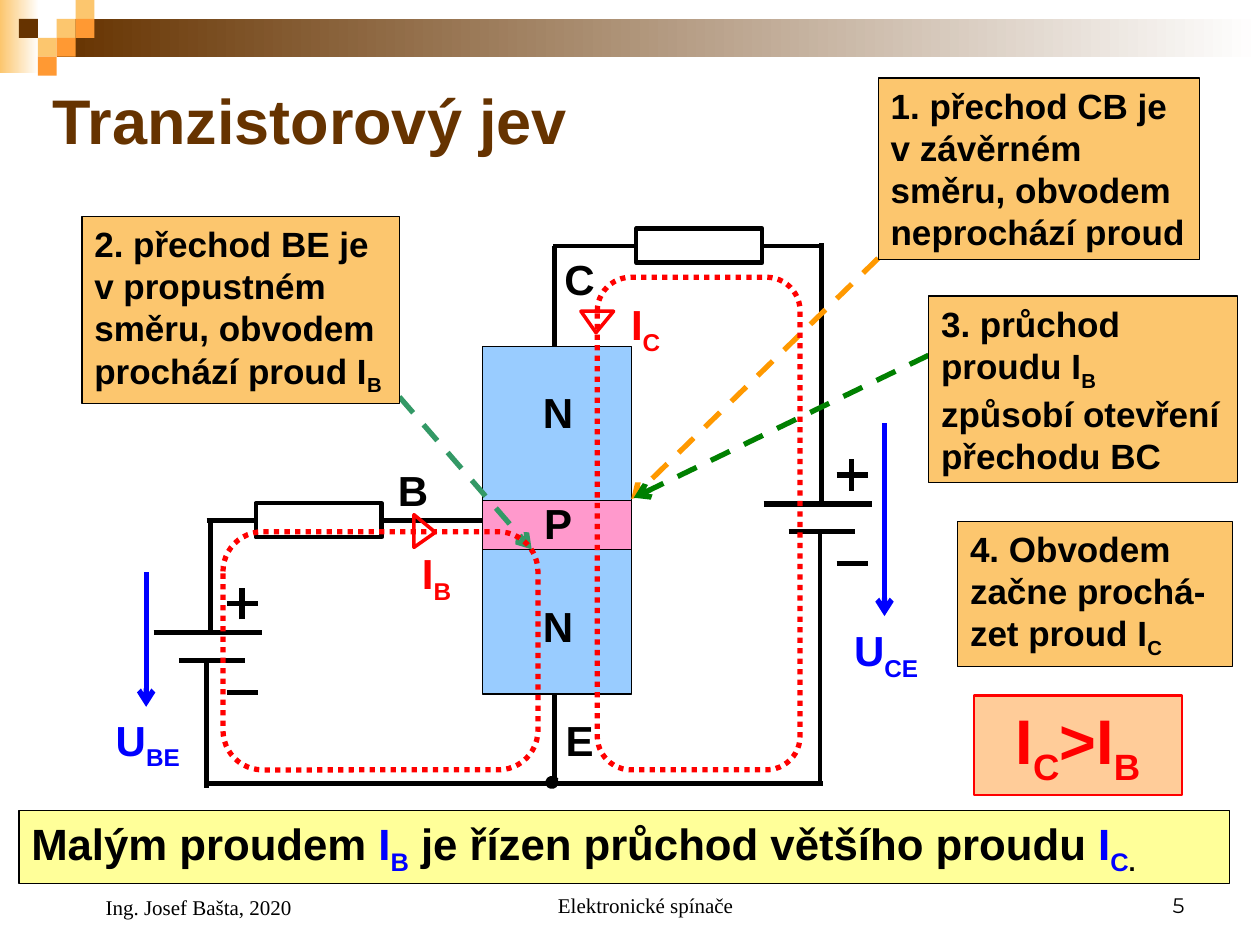
"""Build the slide explaining the transistor effect with an NPN circuit."""
from lxml.etree import SubElement
from pptx import Presentation
from pptx.dml.color import RGBColor
from pptx.enum.dml import MSO_LINE
from pptx.enum.shapes import MSO_CONNECTOR, MSO_SHAPE
from pptx.enum.text import MSO_ANCHOR, PP_ALIGN
from pptx.oxml.ns import qn
from pptx.util import Inches, Pt

THEME = {
    "colour": {
        "black": "000000", "white": "FFFFFF", "brown": "663300", "sand": "FCC66E",
        "orange": "FF9933", "amber": "FF9900", "blue": "0000FF", "red": "FF0000",
        "sea": "339966", "green": "008000", "n_layer": "99CCFF", "p_layer": "FF99CC",
        "yellow": "FFFF99", "peach": "FFCC99",
    },
    "size": {"title": 36, "formula": 36, "summary": 25, "label": 24, "note": 20, "footer": 12},
    "line": {"edge": 0.75, "frame": 1.25, "marker": 2, "wire": 2.5, "strong": 3},
    "font": {"main": "Arial", "footer": "Times New Roman", "number": "Montserrat"},
}
SLIDE_WIDTH, SLIDE_HEIGHT = Inches(10), Inches(7.5)
COLUMNS = 100
CELL = SLIDE_WIDTH / COLUMNS
MOSAIC_STEP = 1.5

BANDS = [((0, 0, 3.1, 5.8), "sand"), ((4.5, 1.5, 95.5, 3), "brown")]
MOSAIC = [(3, 1, "sand"), (4, 0, "sand"), (4, 1, "orange"), (2, 2, "sand"),
          (1, 1, "brown"), (3, 2, "orange"), (2, 3, "orange")]

RESISTORS = {"collector": (50.5, 18.15, 10, 2.7), "base": (20.3, 39.95, 10, 2.7)}
RESISTOR_WIRES = [((43.9, 19.5), "collector", 1), ((65.2, 19.5), "collector", 3),
                  ((16.4, 41.3), "base", 1), ((40.3, 41.3), "base", 3)]
WIRES = [(44, 19.5, 44, 62.3), (16.5, 62.2, 65.3, 62.2), (65.1, 62.3, 65.1, 42.3),
         (65.2, 39.8, 65.2, 19.3), (16.7, 50, 16.7, 41.2), (16.4, 62.5, 16.4, 52.2)]
JUNCTION = (43.8, 62.1, 44.2, 61.7)
LAYERS = [((38.3, 27.5, 11.8, 27.6), "n_layer"), ((38.3, 39.7, 11.8, 3.9), "p_layer")]

BATTERIES = [(60.6, 40), (12.2, 50.2)]
BATTERY_STROKES = [(0, 0, 8.6, 0), (2, 2.2, 7.25, 2.2), (7, -1.05, 7, -3.55),
                   (5.8, -2.3, 8.3, -2.3), (5.8, 4.75, 8.3, 4.75)]
VOLTAGES = [(70.2, 33.6, 70.2, 48.9), (11.6, 45.4, 11.6, 56.1)]
POINTERS = [((69.7, 20.5, 50.1, 39.6), "amber"), ((31.7, 31.5, 42.2, 43.6), "sea"),
            ((73.7, 28.2, 50.3, 39.5), "green")]
CURRENT_LOOPS = [(17.7, 42.2, 25, 18.9), (47.4, 22, 16.1, 39.1)]
CURRENT_MARKERS = [((32.4, 41.3, 2.6, 1.7), 90), ((46.1, 24.7, 2.6, 1.7), 180)]

LABELS = [("N", (42.1, 30.2), "black"), ("P", (42.2, 39), "black"), ("N", (42.1, 47.2), "black"),
          ("E", (43.9, 56.2), "black"), ("C", (43.8, 19.6), "black"), ("B", (30.6, 36.4), "black"),
          ("U_CE", (66.8, 49.1), "blue"), ("U_BE", (8.2, 56.2), "blue"),
          ("I_B", (32.5, 43), "red"), ("I_C", (49.1, 23.2), "red")]
LABEL_EXTENT = (8.1, 5.6)
NOTES = [("1. přechod CB je v závěrném směru, obvodem neprochází proud", (69.7, 6.2, 25.5, 14.4)),
         ("2. přechod BE je v propustném směru, obvodem prochází proud I_B", (6.5, 17.2, 25.2, 14.8)),
         ("3. průchod proudu I_B_ způsobí otevření přechodu BC", (73.7, 23.5, 24.5, 14.8)),
         ("4. Obvodem začne prochá-zet proud I_C", (76, 41.4, 21.8, 11.5))]
SUMMARY = [("Malým proudem ", "black"), ("I_B", "blue"), (" je řízen průchod většího proudu ", "black"),
           ("I_C", "blue"), ("_.", "black")]
FOOTERS = [("Ing. Josef Bašta, 2020", (7.4, 68.3, 20.9, 5.2), PP_ALIGN.LEFT, "footer"),
           ("Elektronické spínače", (36.6, 68.3, 29.3, 5), PP_ALIGN.CENTER, "footer"),
           ("5", (71.7, 68.3, 23.3, 5), PP_ALIGN.RIGHT, "number")]


def grid(lengths):
    return [round(length * CELL) for length in lengths]


def colour(name):
    return RGBColor.from_string(THEME["colour"][name])


def apply(target, values):
    for name, value in values.items():
        setattr(target, name, value)


def stroke(line, tint, weight, dash=None):
    line.color.rgb = colour(tint)
    apply(line, {"width": Pt(THEME["line"][weight]), "dash_style": dash})


def block(slide, area, fill=None, edge=None, weight="edge", dash=None, preset=MSO_SHAPE.RECTANGLE):
    shape = slide.shapes.add_shape(preset, *grid(area))
    shape.shadow.inherit = False
    if fill:
        shape.fill.solid()
        shape.fill.fore_color.rgb = colour(fill)
    else:
        shape.fill.background()
    if edge:
        stroke(shape.line, edge, weight, dash)
    else:
        shape.line.fill.background()
    return shape


def fade(shape, tint):
    shape.fill.gradient()
    shape.fill.gradient_angle = 180
    for stop, (name, position) in zip(shape.fill.gradient_stops, [("white", 0), (tint, 1)]):
        stop.color.rgb = colour(name)
        stop.position = position


def connect(slide, ends, tint="black", weight="wire", dash=None, mark=None):
    connector = slide.shapes.add_connector(MSO_CONNECTOR.STRAIGHT, *grid(ends))
    stroke(connector.line, tint, weight, dash)
    properties = connector._element.spPr
    if mark:
        end, kind = mark
        SubElement(properties.find(qn("a:ln")), qn(end), type=kind)
    SubElement(properties, qn("a:effectLst"))
    return connector


def write(shape, parts, size, anchor=MSO_ANCHOR.TOP, align=PP_ALIGN.LEFT, font="main"):
    apply(shape.text_frame, {"word_wrap": True, "vertical_anchor": anchor})
    paragraph = shape.text_frame.paragraphs[0]
    paragraph.alignment = align
    for text, tint in parts:
        for index, piece in enumerate(text.split("_")):
            if not piece:
                continue
            run = paragraph.add_run()
            run.text = piece
            apply(run.font, {"size": Pt(THEME["size"][size]), "name": THEME["font"][font],
                             "bold": font == "main"})
            run.font.color.rgb = colour(tint)
            if index % 2:
                run._r.get_or_add_rPr().set("baseline", "-25000")


def draw_header(slide):
    for area, tint in BANDS:
        fade(block(slide, area), tint)
    for column, row, tint in MOSAIC:
        block(slide, (column * MOSAIC_STEP, row * MOSAIC_STEP, MOSAIC_STEP, MOSAIC_STEP), tint)
    title = slide.shapes.add_textbox(*grid((3.2, 5, 50.2, 9)))
    write(title, [("Tranzistorový jev", "brown")], "title", MSO_ANCHOR.MIDDLE)


def draw_circuit(slide):
    resistors = {name: block(slide, area, edge="black", weight="wire")
                 for name, area in RESISTORS.items()}
    for start, name, side in RESISTOR_WIRES:
        connect(slide, start + start).end_connect(resistors[name], side)
    for ends in WIRES:
        connect(slide, ends)
    connect(slide, JUNCTION, mark=("a:headEnd", "oval"))
    for area, tint in LAYERS:
        block(slide, area, tint, "black")
    for left, top in BATTERIES:
        for x1, y1, x2, y2 in BATTERY_STROKES:
            connect(slide, (left + x1, top + y1, left + x2, top + y2), weight="strong")
    for ends in VOLTAGES:
        connect(slide, ends, "blue", "strong", mark=("a:tailEnd", "arrow"))


def draw_currents(slide):
    for ends, tint in POINTERS:
        connect(slide, ends, tint, "strong", MSO_LINE.DASH, ("a:tailEnd", "arrow"))
    for area in CURRENT_LOOPS:
        block(slide, area, None, "red", "strong", MSO_LINE.ROUND_DOT, MSO_SHAPE.ROUNDED_RECTANGLE)
    for area, rotation in CURRENT_MARKERS:
        marker = block(slide, area, None, "red", "marker", preset=MSO_SHAPE.ISOSCELES_TRIANGLE)
        marker.adjustments[0] = 0.54
        marker.rotation = rotation


def draw_texts(slide):
    for text, position, tint in LABELS:
        write(slide.shapes.add_textbox(*grid(position + LABEL_EXTENT)), [(text, tint)], "label")
    for text, area in NOTES:
        write(block(slide, area, "sand", "black"), [(text, "black")], "note")
    write(block(slide, (1.5, 64.3, 96.1, 5.8), "yellow", "black"), SUMMARY, "summary")
    formula = block(slide, (77.3, 55.2, 16.5, 7.9), "peach", "red", "frame")
    write(formula, [("I_C_>I_B", "red")], "formula", align=PP_ALIGN.CENTER)
    for text, area, align, font in FOOTERS:
        write(slide.shapes.add_textbox(*grid(area)), [(text, "black")], "footer",
              MSO_ANCHOR.BOTTOM, align, font)


def main():
    deck = Presentation()
    apply(deck, {"slide_width": SLIDE_WIDTH, "slide_height": SLIDE_HEIGHT})
    slide = deck.slides.add_slide(deck.slide_layouts[6])
    for draw in (draw_header, draw_circuit, draw_currents, draw_texts):
        draw(slide)
    deck.save("out.pptx")


if __name__ == "__main__":
    main()
